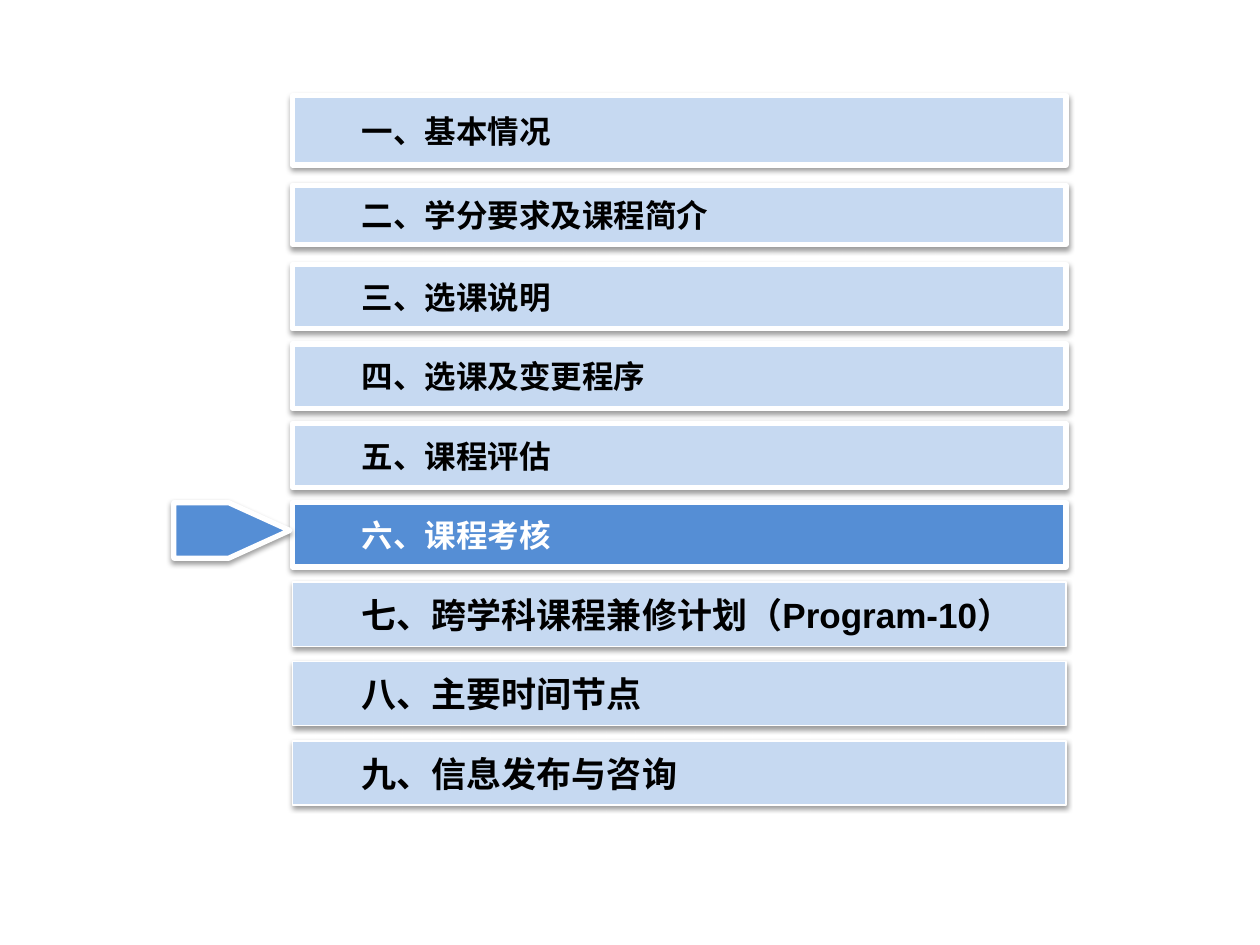
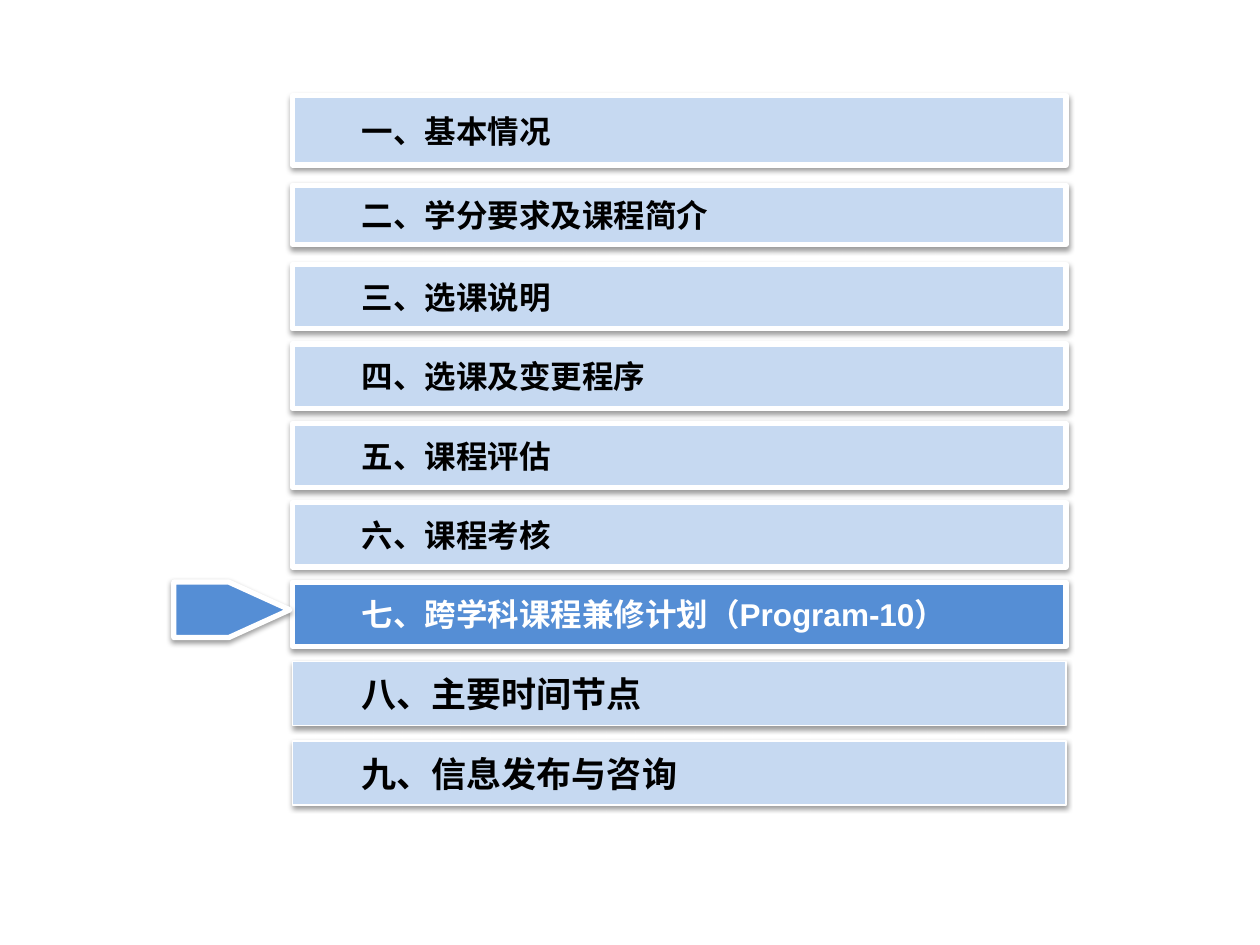
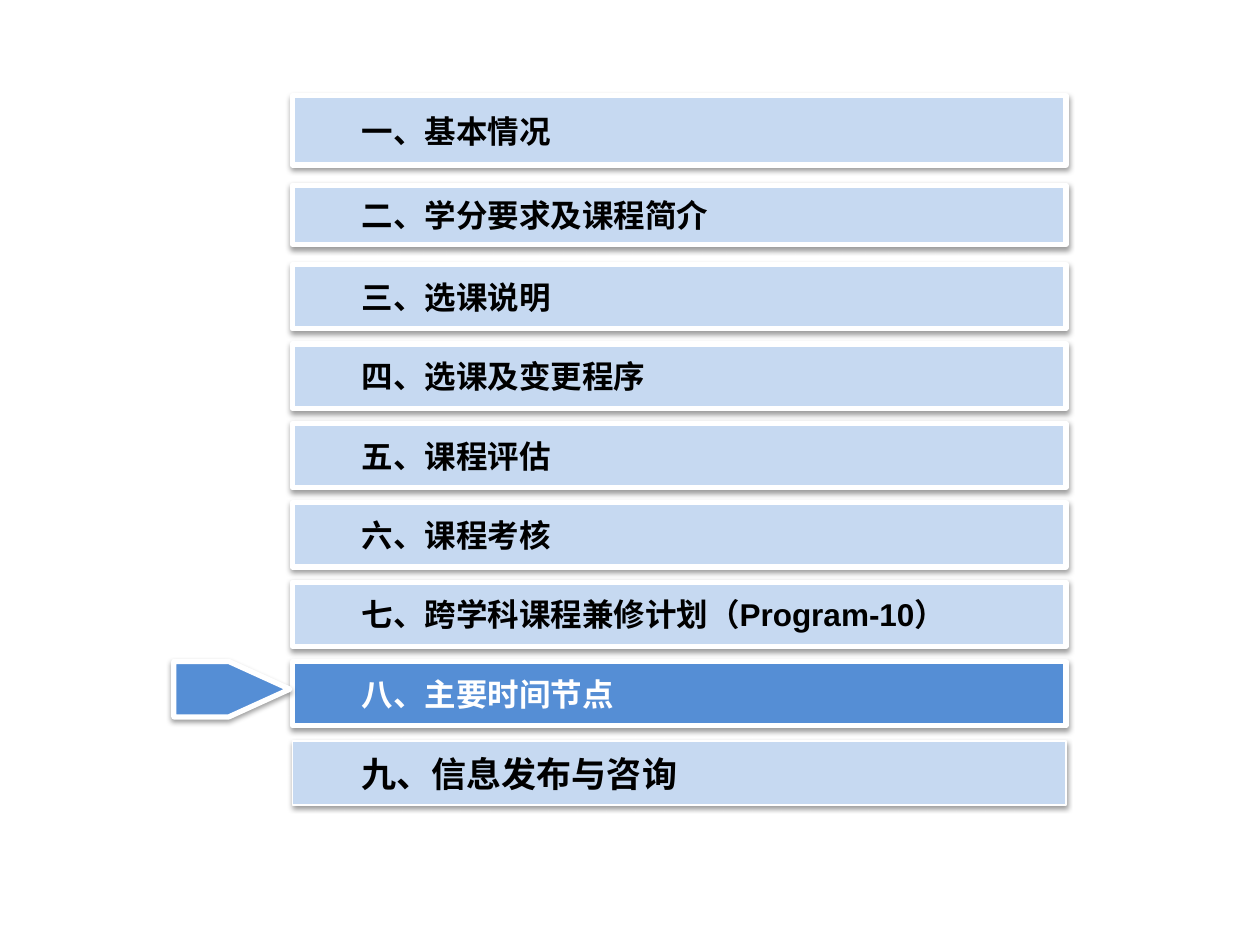
from lxml.etree import SubElement as Sub
from pptx import Presentation
from pptx.dml.color import RGBColor
from pptx.enum.shapes import MSO_SHAPE as Shape
from pptx.enum.text import MSO_ANCHOR as Anchor, PP_ALIGN as Align
from pptx.oxml.ns import qn
from pptx.util import Pt

PX = 9144  # EMU per px, 100 px to the inch
PALE, BLUE, WHITE, BLACK = "C6D9F1", "558ED5", "FFFFFF", "000000"
FONT = "Arial"

TOPICS = [
    "一、基本情况",
    "二、学分要求及课程简介",
    "三、选课说明",
    "四、选课及变更程序",
    "五、课程评估",
    "六、课程考核",
    "七、跨学科课程兼修计划（Program-10）",
    "八、主要时间节点",
    "九、信息发布与咨询",
]

# Tops and heights: two special bars, then an even stack
LEFT, WIDTH = 232, 614
ROWS = [(76, 55), (147, 47)] + [(210 + 63 * i, 51) for i in range(7)]


def color(code):
    return RGBColor.from_string(code)


class Deck:
    def __init__(self):
        self.prs = Presentation()
        self.prs.slide_width = 1000 * PX
        self.prs.slide_height = 750 * PX
        self.slide = None

    def page(self):
        self.slide = self.prs.slides.add_slide(self.prs.slide_layouts[6])

    def block(self, kind, box, fill, weight):
        """Filled shape with a white edge and a soft shadow below."""
        shape = self.slide.shapes.add_shape(kind, *(n * PX for n in box))
        shape.fill.solid()
        shape.fill.fore_color.rgb = color(fill)
        shape.line.color.rgb = color(WHITE)
        shape.line.width = Pt(weight)
        shape.shadow.inherit = False
        effects = shape._element.spPr.find(qn("a:effectLst"))
        shade = Sub(effects, qn("a:outerShdw"), blurRad="40000", dist="20000",
                    dir="5400000", rotWithShape="0")
        tint = Sub(shade, qn("a:srgbClr"), val=BLACK)
        Sub(tint, qn("a:alpha"), val="38000")
        return shape

    def bar(self, row, text, active, later):
        """One agenda bar; later topics have a thin edge and larger text."""
        top, height = row
        shape = self.block(Shape.RECTANGLE, (LEFT, top, WIDTH, height),
                           BLUE if active else PALE, 0.75 if later else 3)
        frame = shape.text_frame
        frame.word_wrap = False
        frame.vertical_anchor = Anchor.MIDDLE
        frame.margin_left, frame.margin_right = 55 * PX, 10 * PX
        frame.margin_top = frame.margin_bottom = 5 * PX
        frame.text = text
        para = frame.paragraphs[0]
        para.alignment = Align.LEFT
        font = para.runs[0].font
        font.name, font.bold = FONT, True
        font.size = Pt(20 if later else 18)
        font.color.rgb = color(WHITE if active else BLACK)

    def marker(self, top):
        shape = self.block(Shape.PENTAGON, (138, top, 92, 44), BLUE, 3)
        shape.adjustments[0] = 1.1

    def agenda(self, now):
        self.page()
        for i, (row, text) in enumerate(zip(ROWS, TOPICS)):
            self.bar(row, text, i == now, i > now)
        self.marker(ROWS[now][0])


def main():
    deck = Deck()
    # One agenda slide for each of topics six to eight
    for now in (5, 6, 7):
        deck.agenda(now)
    deck.prs.save("out.pptx")


if __name__ == "__main__":
    main()
